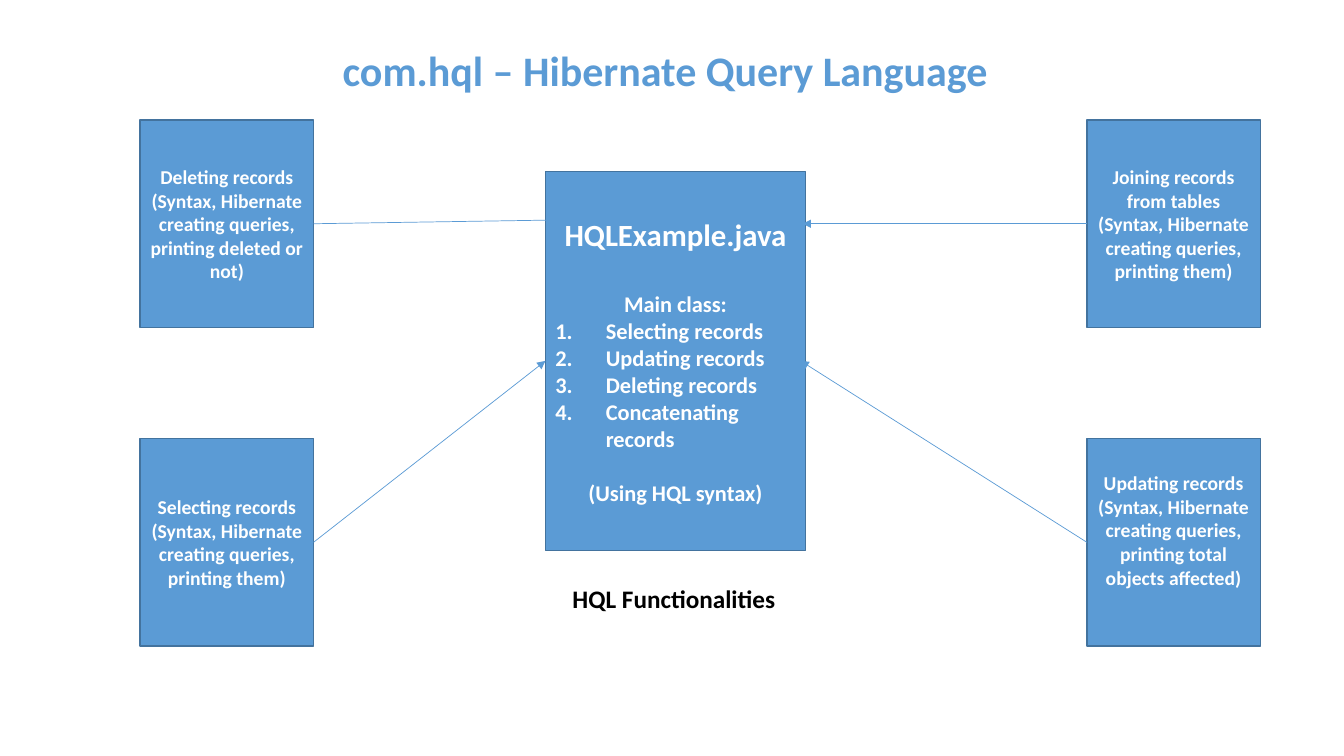
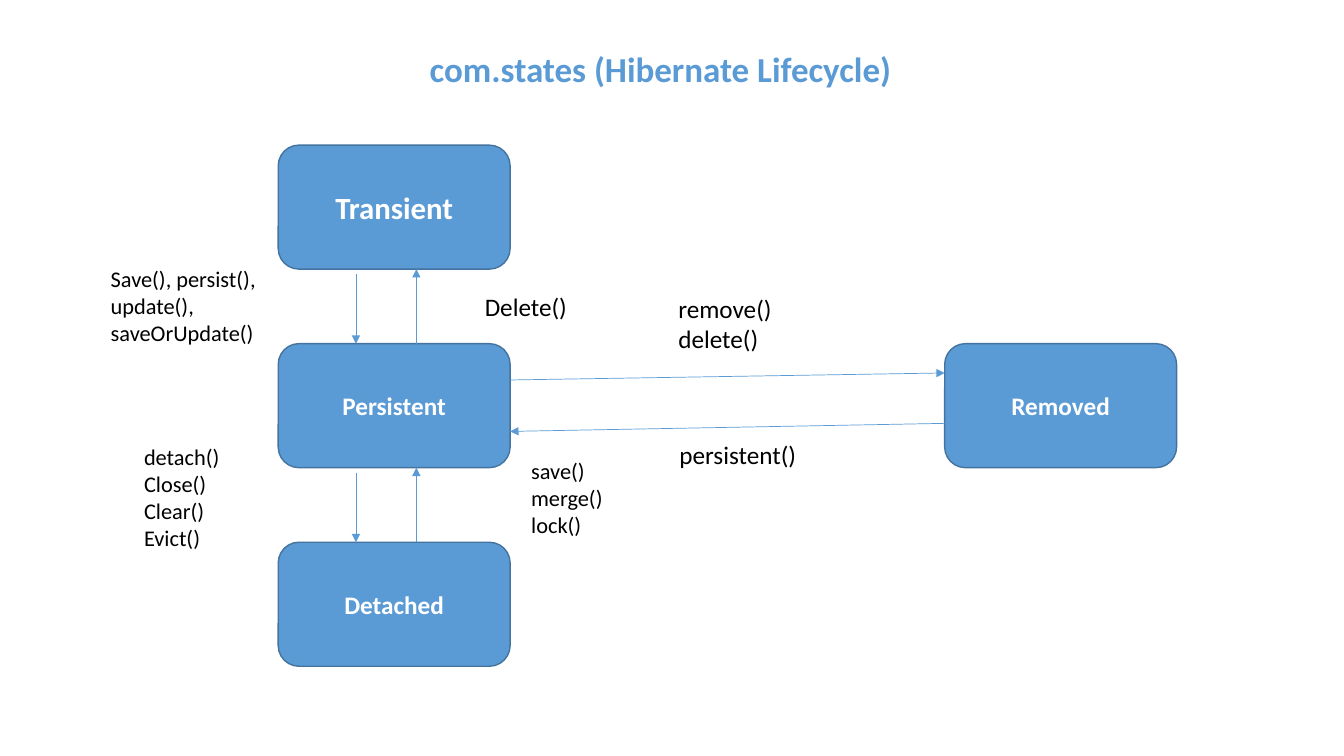
"""Build two slides: the HQL example class and the Hibernate object lifecycle."""
from lxml.etree import SubElement
from pptx import Presentation
from pptx.dml.color import RGBColor
from pptx.enum.shapes import MSO_CONNECTOR, MSO_SHAPE
from pptx.enum.text import MSO_ANCHOR, MSO_AUTO_SIZE, PP_ALIGN
from pptx.oxml.ns import qn
from pptx.util import Inches, Pt

COLOURS = {"blue": "5B9BD5", "edge": "43739E", "white": "FFFFFF", "black": "000000"}
FONT = {"name": "Calibri", "bold": True}
TITLE_FRAME = {"word_wrap": True, "vertical_anchor": MSO_ANCHOR.MIDDLE,
               "auto_size": MSO_AUTO_SIZE.NONE}
BOX_FRAME = {"word_wrap": True, "vertical_anchor": MSO_ANCHOR.MIDDLE}
LEFT, RIGHT = 1, 3

HQL_TITLE = ("com.hql – Hibernate Query Language", 0.85, 0, 30)
MAIN_AREA = (5.41, 1.7, 2.58, 3.76)
MAIN_HEADING = "HQLExample.java"
MAIN_INTRO = "Main class:"
MAIN_STEPS = ["Selecting records", "Updating records", "Deleting records",
              "Concatenating records"]
MAIN_CLOSING = "(Using HQL syntax)"
TASK_COLUMNS, TASK_ROWS, TASK_SIZE = (1.39, 10.78), (1.19, 4.35), (1.72, 2.06)
TASKS = [
    ("Deleting records (Syntax, Hibernate creating queries, printing deleted or not)",
     0, 0, (5.69, 2.18), 0.05),
    ("Joining records from tables (Syntax, Hibernate creating queries, printing them)",
     1, 0, (7.96, 2.22), 0.05),
    ("Selecting records (Syntax, Hibernate creating queries, printing them)",
     0, 1, (5.41, 3.58), 0.05),
    ("Updating records (Syntax, Hibernate creating queries, printing total objects affected)",
     1, 1, (7.94, 3.58), 0.29),
]
HQL_CAPTION = (["HQL Functionalities"], (5.58, 5.74, 2.23, 0.4), 18, False)

STATES_TITLE = ("com.states (Hibernate Lifecycle)", 0.8, -0.02, 25)
STATE_COLUMNS, STATE_TOP, STATE_PITCH, STATE_SIZE = (2.76, 9.37), 1.44, 1.97, (2.3, 1.23)
STATES = [("Transient", 0, 0, 22), ("Persistent", 0, 1, 18),
          ("Detached", 0, 2, 18), ("Removed", 1, 1, 18)]
DOWN_X, UP_X, DOWN_GAP = 3.53, 4.13, 0.05
REMOVAL_ARROWS = [((5.06, 3.77), (9.37, 3.7)), ((9.37, 4.2), (5.06, 4.28))]
METHODS = [
    (["Save(), persist(), update(), saveOrUpdate()"], (1, 2.58, 1.96, 0.91), 16, True),
    (["Delete()"], (4.71, 2.84, 1.03, 0.4), 18, False),
    (["remove()", "delete()"], (6.63, 2.86, 1.16, 0.71), 18, False),
    (["persistent()"], (6.64, 4.31, 1.37, 0.4), 18, False),
    (["detach()", "Close()", "Clear()", "Evict()"], (1.33, 4.35, 1.51, 1.18), 16, True),
    (["save()", "merge()", "lock()"], (5.17, 4.49, 0.97, 0.91), 16, True),
]


def rgb(colour):
    return RGBColor.from_string(COLOURS[colour])


def apply(target, values):
    for attribute, value in values.items():
        setattr(target, attribute, value)


def write(paragraph, text, size, colour, align=PP_ALIGN.CENTER, bold=True):
    paragraph.alignment = align
    run = paragraph.add_run()
    run.text = text
    apply(run.font, {**FONT, "size": Pt(size), "bold": bold})
    run.font.color.rgb = rgb(colour)


def start_slide(deck, text, left, top, size):
    slide = deck.slides.add_slide(deck.slide_layouts[5])
    title = slide.shapes.title
    apply(title, {"left": Inches(left), "top": Inches(top),
                  "width": Inches(11.5), "height": Inches(1.45)})
    apply(title.text_frame, TITLE_FRAME)
    heading = title.text_frame.paragraphs[0]
    heading.line_spacing = 0.9
    write(heading, text, size, "blue")
    return slide


def add_box(slide, outline, area):
    box = slide.shapes.add_shape(outline, *map(Inches, area))
    box.shadow.inherit = False
    box.fill.solid()
    box.fill.fore_color.rgb = rgb("blue")
    box.line.color.rgb = rgb("edge")
    box.line.width = Pt(1)
    apply(box.text_frame, BOX_FRAME)
    return box


def add_arrow(slide, start, end):
    arrow = slide.shapes.add_connector(MSO_CONNECTOR.STRAIGHT, *map(Inches, start + end))
    arrow.line.color.rgb = rgb("blue")
    arrow.line.width = Pt(0.5)
    properties = arrow.line._get_or_add_ln()
    SubElement(properties, qn("a:tailEnd"), type="triangle")
    SubElement(properties.getparent(), qn("a:effectLst"))
    return arrow


def add_label(slide, lines, area, size, wrap, bold=False):
    frame = slide.shapes.add_textbox(*map(Inches, area)).text_frame
    apply(frame, {"word_wrap": wrap, "auto_size": MSO_AUTO_SIZE.SHAPE_TO_FIT_TEXT})
    for index, line in enumerate(lines):
        paragraph = frame.add_paragraph() if index else frame.paragraphs[0]
        write(paragraph, line, size, "black", PP_ALIGN.LEFT, bold)


def add_main_class(slide):
    main_class = add_box(slide, MSO_SHAPE.RECTANGLE, MAIN_AREA)
    frame = main_class.text_frame
    write(frame.paragraphs[0], MAIN_HEADING, 22, "white")
    intro = frame.add_paragraph()
    intro.space_before = Pt(27)
    write(intro, MAIN_INTRO, 16, "white")
    for step in MAIN_STEPS:
        item = frame.add_paragraph()
        properties = item._p.get_or_add_pPr()
        properties.set("marL", str(Inches(0.5)))
        properties.set("indent", str(-Inches(0.5)))
        SubElement(properties, qn("a:buAutoNum"), type="arabicPeriod")
        write(item, step, 16, "white", PP_ALIGN.LEFT)
    closing = frame.add_paragraph()
    closing.space_before = Pt(19.5)
    write(closing, MAIN_CLOSING, 16, "white")
    return main_class


def build_hql(deck):
    slide = start_slide(deck, *HQL_TITLE)
    main_class = add_main_class(slide)
    main_left, main_top, _, main_height = MAIN_AREA
    main_middle = (main_left, round(main_top + main_height / 2, 2))
    for text, column, row, target, bottom_inset in TASKS:
        left, top = TASK_COLUMNS[column], TASK_ROWS[row]
        width, height = TASK_SIZE
        task = add_box(slide, MSO_SHAPE.RECTANGLE, (left, top, width, height))
        task.text_frame.margin_bottom = Inches(bottom_inset)
        write(task.text_frame.paragraphs[0], text, 14, "white")
        start = (left if column else left + width, top + height / 2)
        arrow = add_arrow(slide, start, target)
        arrow.begin_connect(task, LEFT if column else RIGHT)
        if target == main_middle:
            arrow.end_connect(main_class, LEFT)
    add_label(slide, *HQL_CAPTION, bold=True)


def build_states(deck):
    slide = start_slide(deck, *STATES_TITLE)
    for state, column, row, size in STATES:
        area = (STATE_COLUMNS[column], STATE_TOP + row * STATE_PITCH, *STATE_SIZE)
        box = add_box(slide, MSO_SHAPE.ROUNDED_RECTANGLE, area)
        write(box.text_frame.paragraphs[0], state, size, "white")
    for row in range(2):
        bottom = STATE_TOP + row * STATE_PITCH + STATE_SIZE[1]
        next_top = STATE_TOP + (row + 1) * STATE_PITCH
        add_arrow(slide, (DOWN_X, bottom + DOWN_GAP), (DOWN_X, next_top))
        add_arrow(slide, (UP_X, next_top), (UP_X, bottom))
    for start, end in REMOVAL_ARROWS:
        add_arrow(slide, start, end)
    for method in METHODS:
        add_label(slide, *method)


def main():
    deck = Presentation()
    apply(deck, {"slide_width": Inches(13.33), "slide_height": Inches(7.5)})
    build_hql(deck)
    build_states(deck)
    deck.save("out.pptx")


if __name__ == "__main__":
    main()
